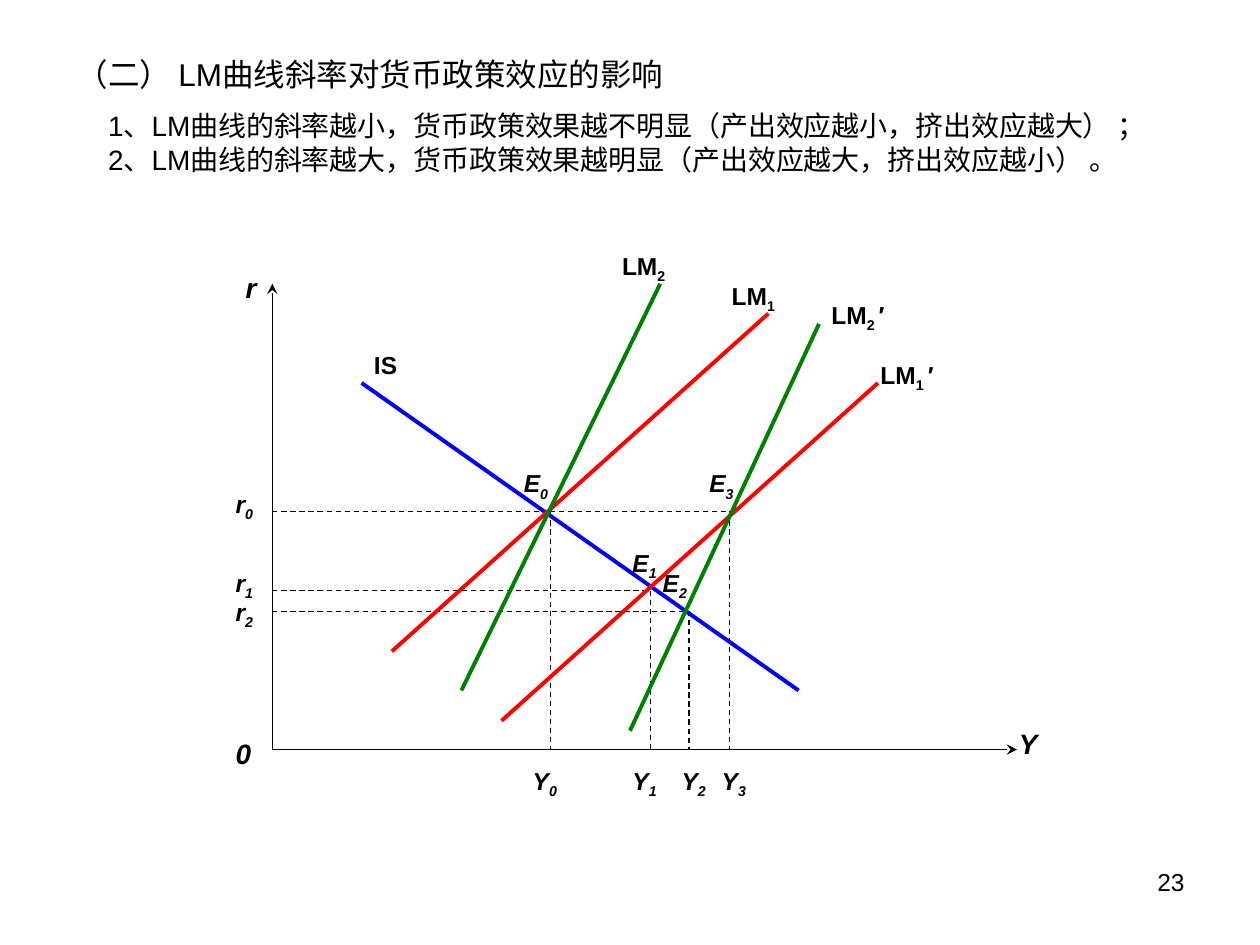
from dataclasses import dataclass

from lxml.etree import SubElement
from pptx import Presentation
from pptx.dml.color import RGBColor
from pptx.enum.dml import MSO_LINE
from pptx.enum.shapes import MSO_CONNECTOR
from pptx.enum.text import MSO_ANCHOR, PP_ALIGN
from pptx.oxml.ns import qn
from pptx.slide import Slide
from pptx.text.text import TextFrame, _Paragraph
from pptx.util import Cm, Pt

BLACK = RGBColor(0x00, 0x00, 0x00)
BLUE = RGBColor(0x00, 0x00, 0xFF)
RED = RGBColor(0xFF, 0x00, 0x00)
GREEN = RGBColor(0x00, 0x80, 0x00)
FONT = "Arial"

# Places in centimetres
ORIGIN_X, ORIGIN_Y = 5.49, 15.11
RATE_LABEL_X, OUTPUT_LABEL_Y = 4.5, 15.32
LABEL_HEIGHT = 0.94


@dataclass(frozen=True)
class Line:
    x1: float
    y1: float
    x2: float
    y2: float
    color: RGBColor = BLACK
    width: float = 0.75
    dashed: bool = False
    arrow: bool = False


@dataclass(frozen=True)
class Label:
    x: float
    y: float
    text: str
    subscript: str = ""
    suffix: str = ""
    size: int = 14
    italic: bool = True
    width: float = 1.2


@dataclass(frozen=True)
class Equilibrium:
    start_x: float
    x: float
    y: float


AXES = [
    Line(ORIGIN_X, ORIGIN_Y, ORIGIN_X, 5.72, arrow=True),
    Line(ORIGIN_X, ORIGIN_Y, 20.5, ORIGIN_Y, arrow=True),
]
CURVES = [
    Line(7.29, 7.72, 16.1, 13.92, BLUE, 2.25),
    Line(10.11, 14.53, 17.7, 7.72, RED, 2.25),
    Line(7.9, 13.13, 15.49, 6.32, RED, 2.25),
    Line(9.3, 13.92, 13.31, 5.72, GREEN, 2.25),
    Line(12.7, 14.73, 16.51, 6.53, GREEN, 2.25),
]
EQUILIBRIA = [
    Equilibrium(ORIGIN_X, 11.1, 10.31),
    Equilibrium(ORIGIN_X, 13.11, 11.91),
    Equilibrium(ORIGIN_X, 13.89, 12.32),
    Equilibrium(10.9, 14.71, 10.31),
]
AXIS_LABELS = [
    Label(4.5, 14.73, "0", size=16),
    Label(20.29, 14.53, "Y", size=16),
    Label(4.7, 5.33, "r", size=16),
]
CURVE_LABELS = [
    Label(7.29, 6.93, "IS", italic=False),
    Label(14.5, 5.54, "LM", "1", italic=False, width=1.6),
    Label(12.29, 4.93, "LM", "2", italic=False, width=1.6),
    Label(17.5, 7.14, "LM", "1 ", "′", italic=False, width=2.4),
    Label(16.51, 5.92, "LM", "2 ", "′", italic=False, width=2.2),
]
POINT_PLACES = [(10.31, 9.32), (12.5, 10.92), (13.11, 11.33), (14.05, 9.32)]
RATE_PLACES = [9.73, 11.33, 11.91]
OUTPUT_PLACES = [10.49, 12.5, 13.49, 14.3]

HEADING = "（二） LM曲线斜率对货币政策效应的影响"
POINTS = [
    "1、LM曲线的斜率越小，货币政策效果越不明显（产出效应越小，挤出效应越大） ；",
    "2、LM曲线的斜率越大，货币政策效果越明显（产出效应越大，挤出效应越小） 。",
]


def add_line(slide: Slide, line: Line) -> None:
    connector = slide.shapes.add_connector(
        MSO_CONNECTOR.STRAIGHT, Cm(line.x1), Cm(line.y1), Cm(line.x2), Cm(line.y2))
    connector.line.color.rgb = line.color
    connector.line.width = Pt(line.width)
    if line.dashed:
        connector.line.dash_style = MSO_LINE.DASH
    if line.arrow:
        SubElement(connector.line._get_or_add_ln(), qn("a:tailEnd"), type="stealth")
    SubElement(connector._element.spPr, qn("a:effectLst"))


def add_text_frame(slide: Slide, x: float, y: float, width: float, height: float) -> TextFrame:
    text_frame = slide.shapes.add_textbox(Cm(x), Cm(y), Cm(width), Cm(height)).text_frame
    text_frame.word_wrap = True
    return text_frame


def add_run(paragraph: _Paragraph, text: str, size: int, bold: bool = False,
            italic: bool = False, subscript: bool = False) -> None:
    run = paragraph.add_run()
    run.text = text
    font = run.font
    font.name, font.size = FONT, Pt(size)
    font.bold, font.italic = bold, italic
    font.color.rgb = BLACK
    if subscript:
        run._r.get_or_add_rPr().set("baseline", "-25000")


def add_label(slide: Slide, label: Label) -> None:
    text_frame = add_text_frame(slide, label.x, label.y, label.width, LABEL_HEIGHT)
    paragraph = text_frame.paragraphs[0]
    add_run(paragraph, label.text, label.size, True, label.italic)
    if label.subscript:
        add_run(paragraph, label.subscript, label.size, True, label.italic, subscript=True)
    if label.suffix:
        add_run(paragraph, label.suffix, label.size, True, label.italic)


def add_heading(slide: Slide) -> None:
    text_frame = add_text_frame(slide, 1.3, 0.91, 22.86, 2.84)
    text_frame.vertical_anchor = MSO_ANCHOR.MIDDLE
    paragraph = text_frame.paragraphs[0]
    paragraph.space_after = Pt(9)
    add_run(paragraph, HEADING, 18)
    for point in POINTS:
        paragraph = text_frame.add_paragraph()
        paragraph._p.get_or_add_pPr().set("marL", str(Cm(0.63)))
        add_run(paragraph, point, 16)


def add_page_number(slide: Slide) -> None:
    paragraph = add_text_frame(slide, 18.21, 17.35, 5.92, 1.32).paragraphs[0]
    paragraph.alignment = PP_ALIGN.RIGHT
    add_run(paragraph, "23", 14)


def main() -> None:
    presentation = Presentation()
    presentation.slide_width, presentation.slide_height = Cm(25.4), Cm(19.05)
    slide = presentation.slides.add_slide(presentation.slide_layouts[6])

    add_page_number(slide)
    add_heading(slide)

    # Axes, guides from each equilibrium to the axes, then curves
    guides = []
    for point in EQUILIBRIA:
        guides.append(Line(point.start_x, point.y, point.x, point.y, dashed=True))
        guides.append(Line(point.x, point.y, point.x, ORIGIN_Y, dashed=True))
    for line in AXES + guides + CURVES:
        add_line(slide, line)

    # Labels of axes, curves, equilibria, rates and outputs
    point_labels = [Label(x, y, "E", str(i)) for i, (x, y) in enumerate(POINT_PLACES)]
    rate_labels = [Label(RATE_LABEL_X, y, "r", str(i)) for i, y in enumerate(RATE_PLACES)]
    output_labels = [Label(x, OUTPUT_LABEL_Y, "Y", str(i)) for i, x in enumerate(OUTPUT_PLACES)]
    for label in AXIS_LABELS + CURVE_LABELS + point_labels + rate_labels + output_labels:
        add_label(slide, label)

    presentation.save("out.pptx")


if __name__ == "__main__":
    main()
